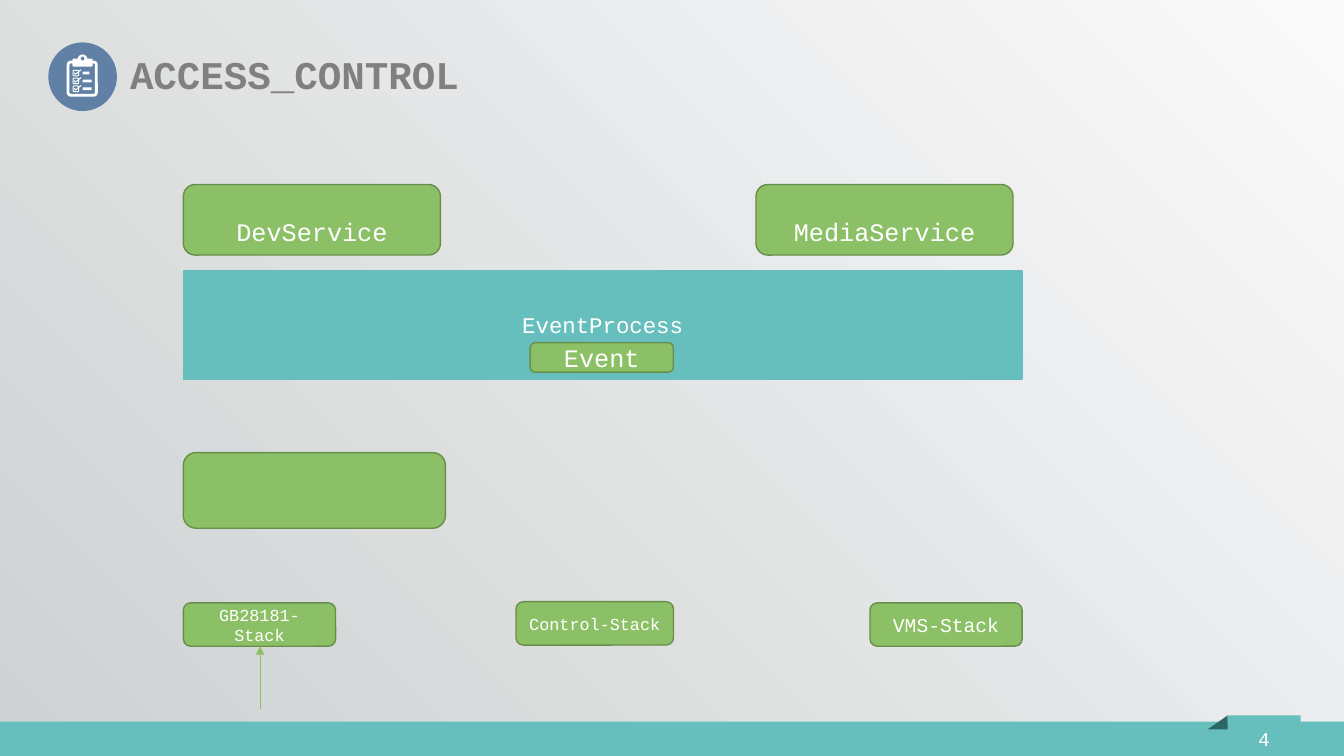
from dataclasses import dataclass
from pptx import Presentation
from pptx.dml.color import RGBColor
from pptx.enum.shapes import MSO_CONNECTOR, MSO_SHAPE
from pptx.enum.text import MSO_ANCHOR, MSO_AUTO_SIZE, PP_ALIGN
from pptx.oxml.ns import qn
from pptx.util import Pt
from lxml import etree

RECT, ROUND = MSO_SHAPE.RECTANGLE, MSO_SHAPE.ROUNDED_RECTANGLE
OVAL, WEDGE = MSO_SHAPE.OVAL, MSO_SHAPE.RIGHT_TRIANGLE
MID, LOW = MSO_ANCHOR.MIDDLE, MSO_ANCHOR.BOTTOM
LEFT, CENTER = PP_ALIGN.LEFT, PP_ALIGN.CENTER
LINE, FIXED = MSO_CONNECTOR.STRAIGHT, MSO_AUTO_SIZE.NONE


@dataclass(frozen=True)
class Theme:
    font: str = "Courier New"
    teal: str = "66BFBC"
    shade: str = "2B6765"
    green: str = "8CC066"
    edge: str = "688E4B"
    blue: str = "6080A6"
    grey: str = "808080"
    white: str = "FFFFFF"
    dark: str = "CED1D2"
    light: str = "FAFAFA"
    title: int = 28
    large: int = 18
    mid: int = 16
    small: int = 14
    tiny: int = 12


T = Theme()
WIDE, HIGH = 960, 540
EDGE = 131
TITLE = "ACCESS_CONTROL"
PAGE = "4"
BAND = ("EventProcess", (EDGE, 193.7, 599, 77))
NODES = [
    ("VMS-Stack", (621.4, 430.6, 108.7, 31), T.small, MID),
    ("GB28181-Stack", (EDGE, 430.6, 108.7, 31), T.tiny, MID),
    ("Control-Stack", (368.6, 429.8, 112.5, 31), T.tiny, MID),
    ("DevService", (EDGE, 131.8, 183.6, 50.4), T.large, LOW),
    ("MediaService", (540, 131.8, 183.6, 50.4), T.large, LOW),
    ("Event", (378.7, 244.8, 102.2, 21), T.large, MID),
    ("", (EDGE, 323.3, 187.2, 54), T.large, MID),
]
ARROW = (185.8, 506.2, 185.8, 461.6)
BARS = [5, 6.5, 6.5]

deck = Presentation()
deck.slide_width, deck.slide_height = Pt(WIDE), Pt(HIGH)
slide = deck.slides.add_slide(deck.slide_layouts[5])
shapes = slide.shapes


def tint(hue):
    return RGBColor.from_string(hue)


def write(item, text, size, hue, align=CENTER, anchor=MID, bold=False):
    frame = item.text_frame
    frame.text = text
    frame.word_wrap = True
    frame.auto_size = FIXED
    frame.vertical_anchor = anchor
    para = frame.paragraphs[0]
    para.alignment = align
    for run in para.runs:
        font = run.font
        font.name, font.size, font.bold = T.font, Pt(size), bold
        font.color.rgb = tint(hue)


def paint(item, fill, line=None, weight=1):
    item.shadow.inherit = False
    if fill:
        item.fill.solid()
        item.fill.fore_color.rgb = tint(fill)
    else:
        item.fill.background()
    if line:
        item.line.color.rgb = tint(line)
        item.line.width = Pt(weight)
    else:
        item.line.fill.background()
    return item


def draw(kind, box, fill, line=None, weight=1):
    return paint(shapes.add_shape(kind, *map(Pt, box)), fill, line, weight)


def stage():
    fill = slide.background.fill
    fill.gradient()
    fill.gradient_angle = 45
    for stop, (place, hue) in zip(fill.gradient_stops, [(0, T.dark), (1, T.light)]):
        stop.position = place
        stop.color.rgb = tint(hue)
    draw(RECT, (0, 515.5, WIDE, 24.5), T.teal)
    draw(RECT, (877, 511, 52, 29), T.teal)
    fold = draw(WEDGE, (862.6, 511, 14.4, 10), T.shade)
    fold._element.spPr.find(qn("a:xfrm")).set("flipH", "1")
    page = shapes.add_textbox(*map(Pt, (887, 515.5, 31.7, 24.5)))
    write(page, PAGE, T.small, T.white)


def icon():
    draw(OVAL, (34.5, 30.3, 49, 49), T.blue)
    board = draw(ROUND, (48.6, 44.3, 20.2, 23.8), None, T.white, 2)
    board.adjustments[0] = 0.1
    draw(ROUND, (51.8, 41.8, 14.4, 5.8), T.white)
    draw(OVAL, (55.4, 38.9, 7.2, 7.2), T.white)
    draw(OVAL, (57.7, 40.5, 2.6, 2.6), T.blue)
    for row, size in enumerate(BARS):
        top = 50.2 + 5.6 * row
        draw(ROUND, (52.2, top, 4, 4), None, T.white, 0.7)
        pen = shapes.build_freeform(Pt(52.9), Pt(top + 1.8))
        pen.add_line_segments([(Pt(54), Pt(top + 2.8)), (Pt(58), Pt(top - 0.4))], close=False)
        paint(pen.convert_to_shape(), None, T.white, 0.7)
        draw(RECT, (59, top + 1, size, 2), T.white)


def link(ends):
    line = shapes.add_connector(LINE, *map(Pt, ends))
    line.line.color.rgb = tint(T.green)
    line.line.width = Pt(0.5)
    etree.SubElement(line.line._get_or_add_ln(), qn("a:tailEnd")).set("type", "triangle")
    etree.SubElement(line._element.spPr, qn("a:effectLst"))


stage()
icon()
head = shapes.title
head.left, head.top, head.width, head.height = map(Pt, (85.7, 32.4, 546, 41))
write(head, TITLE, T.title, T.grey, LEFT, MID, True)

name, box = BAND
write(draw(RECT, box, T.teal, T.teal), name, T.mid, T.white)
for name, box, size, anchor in NODES:
    write(draw(ROUND, box, T.green, T.edge), name, size, T.white, CENTER, anchor)
link(ARROW)

deck.save("out.pptx")
